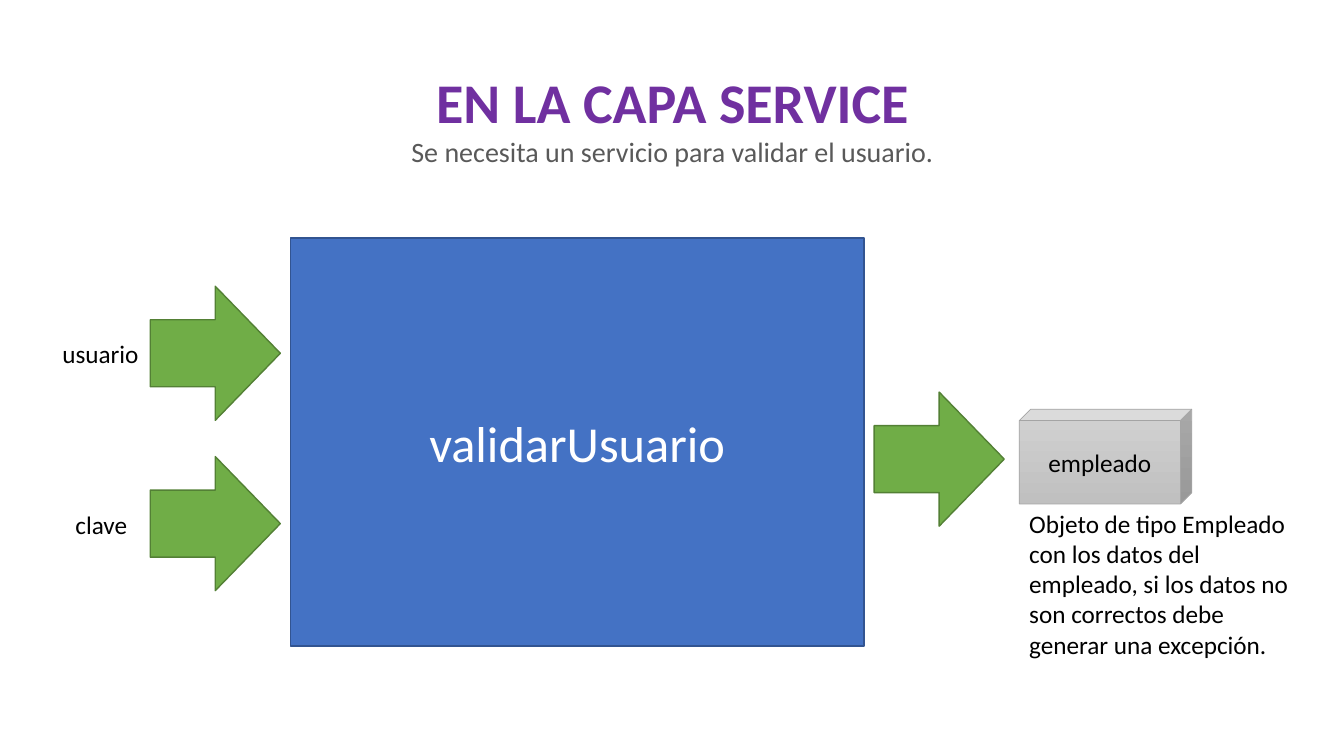
from dataclasses import dataclass

from pptx import Presentation
from pptx.dml.color import RGBColor
from pptx.enum import shapes, text
from pptx.util import Inches, Pt


@dataclass(frozen=True)
class Theme:
    font: str = "Calibri"
    title: str = "7030A0"
    subtitle: str = "595959"
    ink: str = "000000"
    white: str = "FFFFFF"
    service: str = "4472C4"
    service_line: str = "325491"
    arrow: str = "70AD47"
    arrow_line: str = "538035"
    cube_top: str = "D2D2D2"
    cube_bottom: str = "C0C0C0"
    cube_line: str = "A5A5A5"
    title_size: int = 40
    service_size: int = 36
    subtitle_size: int = 20
    body_size: int = 18


THEME = Theme()
ARROW_SIZE = (1.29, 1.33)
INPUT_LEFT = 1.49


def rgb(value):
    return RGBColor.from_string(value)


def format_runs(paragraph, size, color, bold=False):
    for run in paragraph.runs:
        run.font.name = THEME.font
        run.font.size = Pt(size)
        run.font.bold = bold
        run.font.color.rgb = rgb(color)


def add_title(slide, title, subtitle):
    shape = slide.shapes.title
    shape.left, shape.top = Inches(2.58), Inches(0.62)
    shape.width, shape.height = Inches(8.18), Inches(1.11)
    frame = shape.text_frame
    frame.text = f"{title}\n{subtitle}"
    frame.word_wrap = True
    frame.auto_size = text.MSO_AUTO_SIZE.NONE
    frame.vertical_anchor = text.MSO_ANCHOR.TOP
    for paragraph in frame.paragraphs:
        paragraph.alignment = text.PP_ALIGN.CENTER
    format_runs(frame.paragraphs[0], THEME.title_size, THEME.title, bold=True)
    format_runs(frame.paragraphs[1], THEME.subtitle_size, THEME.subtitle)


def add_block(slide, kind, box, fill, line, line_width=1):
    shape = slide.shapes.add_shape(kind, *map(Inches, box))
    shape.shadow.inherit = False
    shape.fill.solid()
    shape.fill.fore_color.rgb = rgb(fill)
    shape.line.color.rgb = rgb(line)
    shape.line.width = Pt(line_width)
    return shape


def write_in_block(shape, words, size, color):
    frame = shape.text_frame
    frame.text = words
    frame.vertical_anchor = text.MSO_ANCHOR.MIDDLE
    frame.paragraphs[0].alignment = text.PP_ALIGN.CENTER
    format_runs(frame.paragraphs[0], size, color)


def add_arrow(slide, left, top):
    add_block(slide, shapes.MSO_SHAPE.RIGHT_ARROW, (left, top, *ARROW_SIZE),
              THEME.arrow, THEME.arrow_line)


def add_label(slide, words, box, wrap=False):
    frame = slide.shapes.add_textbox(*map(Inches, box)).text_frame
    frame.text = words
    frame.word_wrap = wrap
    frame.auto_size = text.MSO_AUTO_SIZE.SHAPE_TO_FIT_TEXT
    format_runs(frame.paragraphs[0], THEME.body_size, THEME.ink)


def add_result_cube(slide, words, box):
    cube = add_block(slide, shapes.MSO_SHAPE.CUBE, box,
                     THEME.cube_top, THEME.cube_line, 0.5)
    cube.adjustments[0] = 0.12
    cube.fill.gradient()
    cube.fill.gradient_angle = 270
    for stop, color in zip(cube.fill.gradient_stops,
                           (THEME.cube_top, THEME.cube_bottom)):
        stop.color.rgb = rgb(color)
    write_in_block(cube, words, THEME.body_size, THEME.ink)


def main():
    presentation = Presentation()
    presentation.slide_width = Inches(13.33)
    presentation.slide_height = Inches(7.5)
    slide = presentation.slides.add_slide(presentation.slide_layouts[5])

    add_title(slide, "EN LA CAPA SERVICE",
              "Se necesita un servicio para validar el usuario.")

    # Service
    service = add_block(slide, shapes.MSO_SHAPE.RECTANGLE,
                        (2.88, 2.36, 5.69, 4.05),
                        THEME.service, THEME.service_line)
    write_in_block(service, "validarUsuario", THEME.service_size, THEME.white)

    # Inputs
    for words, arrow_top, left, width in (("usuario", 2.84, 0.52, 0.97),
                                          ("clave", 4.53, 0.65, 0.72)):
        add_arrow(slide, INPUT_LEFT, arrow_top)
        add_label(slide, words, (left, arrow_top + 0.47, width, 0.4))

    # Output
    add_arrow(slide, 8.67, 3.89)
    add_label(slide, "Objeto de tipo Empleado con los datos del empleado, "
              "si los datos no son correctos debe generar una excepción.",
              (10.11, 4.99, 2.84, 1.62), wrap=True)
    add_result_cube(slide, "empleado", (10.11, 4.06, 1.71, 0.94))

    presentation.save("out.pptx")


main()
